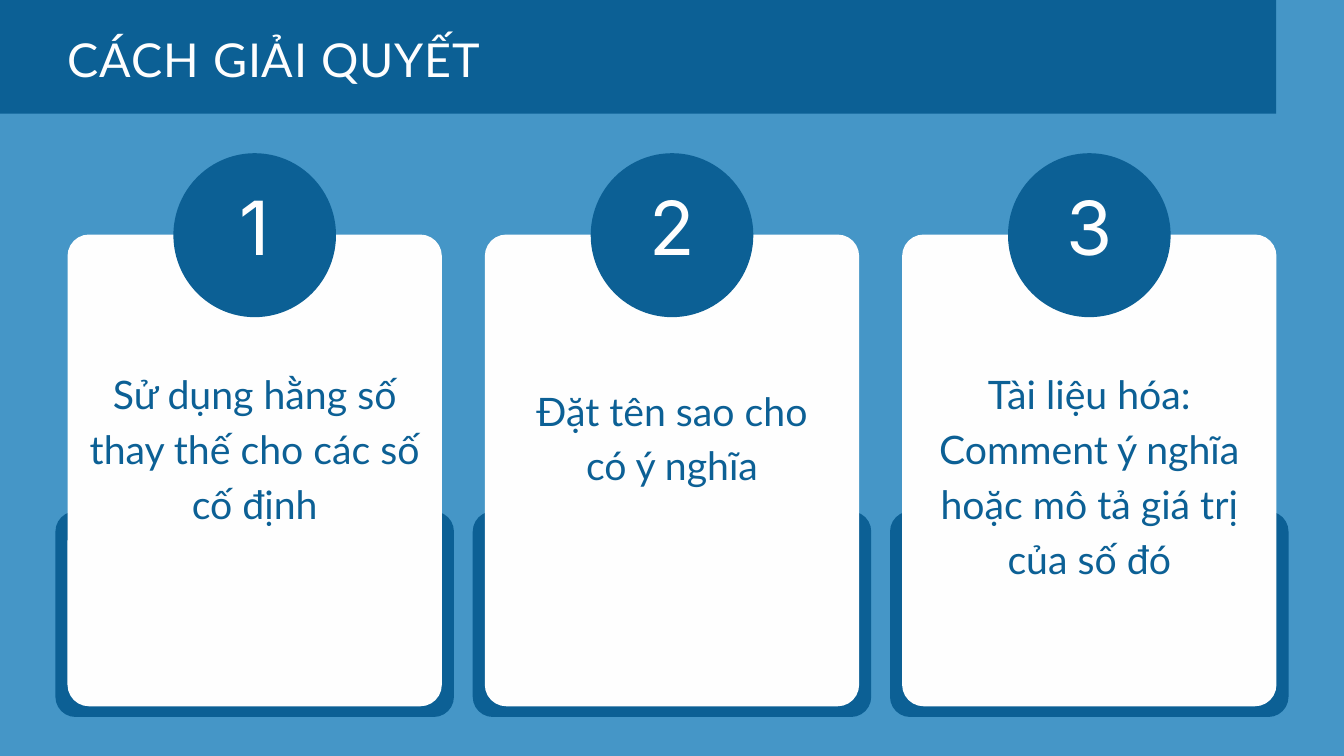
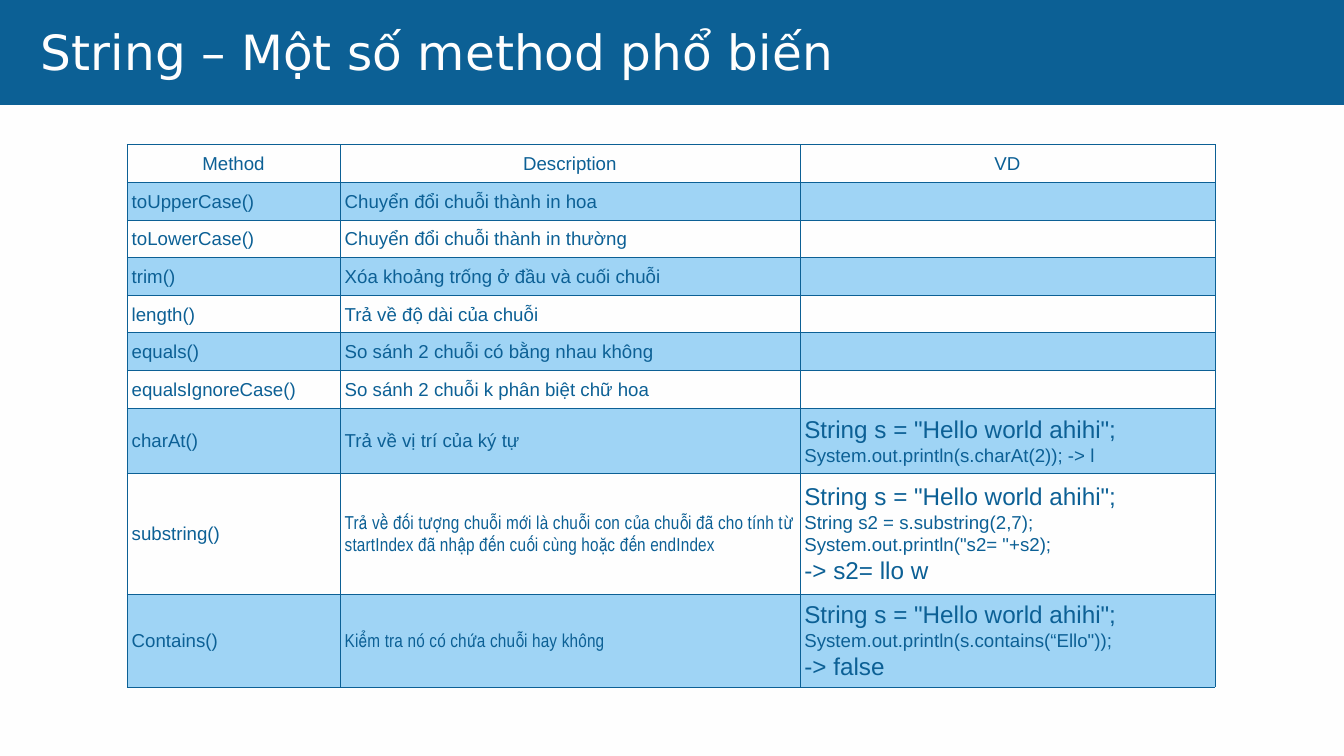
from lxml import etree
from pptx import Presentation
from pptx.dml.color import RGBColor
from pptx.enum import shapes, text
from pptx.oxml import ns
from pptx.util import Inches, Pt

NAVY = RGBColor(0x0C, 0x60, 0x95)
BLUE = RGBColor(0x45, 0x96, 0xC7)
PALE = RGBColor(0x9F, 0xD4, 0xF5)
WHITE = RGBColor(0xFE, 0xFE, 0xFE)

CENTER = text.PP_ALIGN.CENTER
LEFT = text.PP_ALIGN.LEFT
MIDDLE = text.MSO_ANCHOR.MIDDLE
TOP = text.MSO_ANCHOR.TOP
SHAPE = shapes.MSO_SHAPE

# Each step: its text, then top, width and height of the text box
STEPS = [
    ("Sử dụng hằng số thay thế cho các số cố định", 5.4, 5.03, 2.41),
    ("Đặt tên sao cho có ý nghĩa", 5.64, 4.5, 1.6),
    ("Tài liệu hóa: Comment ý nghĩa hoặc mô tả giá trị của số đó", 5.4, 4.5, 4.04),
]
FIRST_CENTER, STEP_PITCH = 3.79, 6.21

BODY = {"size": 20, "name": "Arial", "spacing": 24}
LARGE = {"size": 26, "name": "Arial", "spacing": 31.2}
NARROW = {"size": 20, "name": "Arial Narrow", "spacing": 24, "tracking": 0.2}

HEADINGS = ["Method", "Description", "VD"]
HELLO = ('String s = "Hello world ahihi";', LARGE)
# Each method: name, description, style of the description, example lines
METHODS = [
    ("toUpperCase()", "Chuyển đổi chuỗi thành in hoa", BODY, []),
    ("toLowerCase()", "Chuyển đổi chuỗi thành in thường", BODY, []),
    ("trim()", "Xóa khoảng trống ở đầu và cuối chuỗi", BODY, []),
    ("length()", "Trả về độ dài của chuỗi", BODY, []),
    ("equals()", "So sánh 2 chuỗi có bằng nhau không", BODY, []),
    ("equalsIgnoreCase()", "So sánh 2 chuỗi k phân biệt chữ hoa", BODY, []),
    ("charAt()", "Trả về vị trí của ký tự", BODY,
     [HELLO, ("System.out.println(s.charAt(2)); -> l", BODY)]),
    ("substring()",
     "Trả về đối tượng chuỗi mới là chuỗi con của chuỗi đã cho tính từ "
     "startIndex đã nhập đến cuối cùng hoặc đến endIndex", NARROW,
     [HELLO, ("String s2 = s.substring(2,7);", BODY),
      ('System.out.println("s2= "+s2);', BODY), ("-> s2= llo w", LARGE)]),
    ("Contains()", "Kiểm tra nó có chứa chuỗi hay không", NARROW,
     [HELLO, ('System.out.println(s.contains(“Ello"));', BODY),
      ("-> false", LARGE)]),
]
COLUMN_WIDTHS = [3.17, 6.84, 6.18]
ROW_HEIGHTS = [0.56] * 7 + [0.97, 1.8, 1.38]


def write(frame, lines, color, align=LEFT):
    """Fill a text frame with (words, style) lines, one paragraph each."""
    for index, (words, style) in enumerate(lines):
        para = frame.add_paragraph() if index else frame.paragraphs[0]
        para.alignment = align
        para.line_spacing = Pt(style["spacing"])
        span = para.add_run()
        span.text = words
        font = {"size": Pt(style["size"]), "name": style["name"], "bold": False}
        for key, value in font.items():
            setattr(span.font, key, value)
        span.font.color.rgb = color
        if "tracking" in style:
            span.font._element.set("spc", str(round(style["tracking"] * 100)))


def add_text(page, place, words, style, color, align=LEFT, anchor=TOP, inset=0):
    box = page.shapes.add_textbox(*map(Inches, place))
    frame = box.text_frame
    frame.word_wrap = True
    frame.vertical_anchor = anchor
    for side in ("left", "top", "right", "bottom"):
        setattr(frame, f"margin_{side}", Inches(inset))
    write(frame, [(words, style)], color, align)


def add_block(page, kind, place, color, radius=None):
    block = page.shapes.add_shape(kind, *map(Inches, place))
    block.shadow.inherit = False
    block.fill.solid()
    block.fill.fore_color.rgb = color
    block.line.fill.background()
    if radius:
        block.adjustments[0] = radius / min(place[2:])


def add_page(deck, background):
    page = deck.slides.add_slide(deck.slide_layouts[6])
    page.background.fill.solid()
    page.background.fill.fore_color.rgb = background
    return page


def add_title(page, band_size, place, words, style):
    add_block(page, SHAPE.RECTANGLE, (0, 0, *band_size), NAVY)
    add_text(page, place, words, style, WHITE)


def add_step(page, number, words, top, width, height):
    center = FIRST_CENTER + (number - 1) * STEP_PITCH

    def centered(top, width, height):
        return center - width / 2, top, width, height

    rounded = SHAPE.ROUNDED_RECTANGLE
    add_block(page, rounded, centered(7.61, 5.93, 3.06), NAVY, 0.3)
    add_block(page, rounded, centered(3.49, 5.57, 7.02), WHITE, 0.32)
    add_block(page, SHAPE.OVAL, centered(2.28, 2.42, 2.44), NAVY)
    add_text(page, centered(2, 1.97, 2.49), str(number),
             {"size": 80, "name": "Inter", "spacing": 112},
             WHITE, CENTER, MIDDLE, 0.06)
    add_text(page, centered(top, width, height), words,
             {"size": 42, "name": "Lato", "spacing": 58.8}, NAVY, CENTER)


def add_borders(cell):
    props = cell._tc.get_or_add_tcPr()
    for side in ("lnL", "lnR", "lnT", "lnB"):
        line = etree.SubElement(props, ns.qn(f"a:{side}"), w=str(Pt(0.37)))
        fill = etree.SubElement(line, ns.qn("a:solidFill"))
        etree.SubElement(fill, ns.qn("a:srgbClr"), val=str(NAVY))


def add_methods(page):
    rows = [[[(heading, BODY)] for heading in HEADINGS]]
    rows += [[[(name, BODY)], [(about, style)], example]
             for name, about, style, example in METHODS]
    place = (1.89, 2.15, sum(COLUMN_WIDTHS), sum(ROW_HEIGHTS))
    table = page.shapes.add_table(
        len(rows), len(HEADINGS), *map(Inches, place)).table
    table.first_row = table.horz_banding = False
    for column, width in zip(table.columns, COLUMN_WIDTHS):
        column.width = Inches(width)
    for r, (row, height) in enumerate(zip(rows, ROW_HEIGHTS)):
        table.rows[r].height = Inches(height)
        for c, lines in enumerate(row):
            cell = table.cell(r, c)
            add_borders(cell)
            cell.fill.solid()
            cell.fill.fore_color.rgb = PALE if r % 2 else WHITE
            cell.vertical_anchor = MIDDLE
            for side in ("left", "top", "right", "bottom"):
                setattr(cell, f"margin_{side}", Inches(0.07))
            write(cell.text_frame, lines, NAVY, LEFT if r else CENTER)


def main():
    deck = Presentation()
    deck.slide_width, deck.slide_height = Inches(20), Inches(11.25)

    solutions = add_page(deck, BLUE)
    add_title(solutions, (18.99, 1.69), (1.01, 0.32, 11.78, 0.93),
              "CÁCH GIẢI QUYẾT",
              {"size": 50, "name": "Lato", "spacing": 70, "tracking": 1})
    for number, step in enumerate(STEPS, 1):
        add_step(solutions, number, *step)

    methods = add_page(deck, WHITE)
    add_title(methods, (20, 1.56), (0.61, 0.32, 18.84, 0.98),
              "String – Một số method phổ biến",
              {"size": 52, "name": "DejaVu Sans", "spacing": 62.4, "tracking": 0.1})
    add_methods(methods)
    deck.save("out.pptx")


if __name__ == "__main__":
    main()
